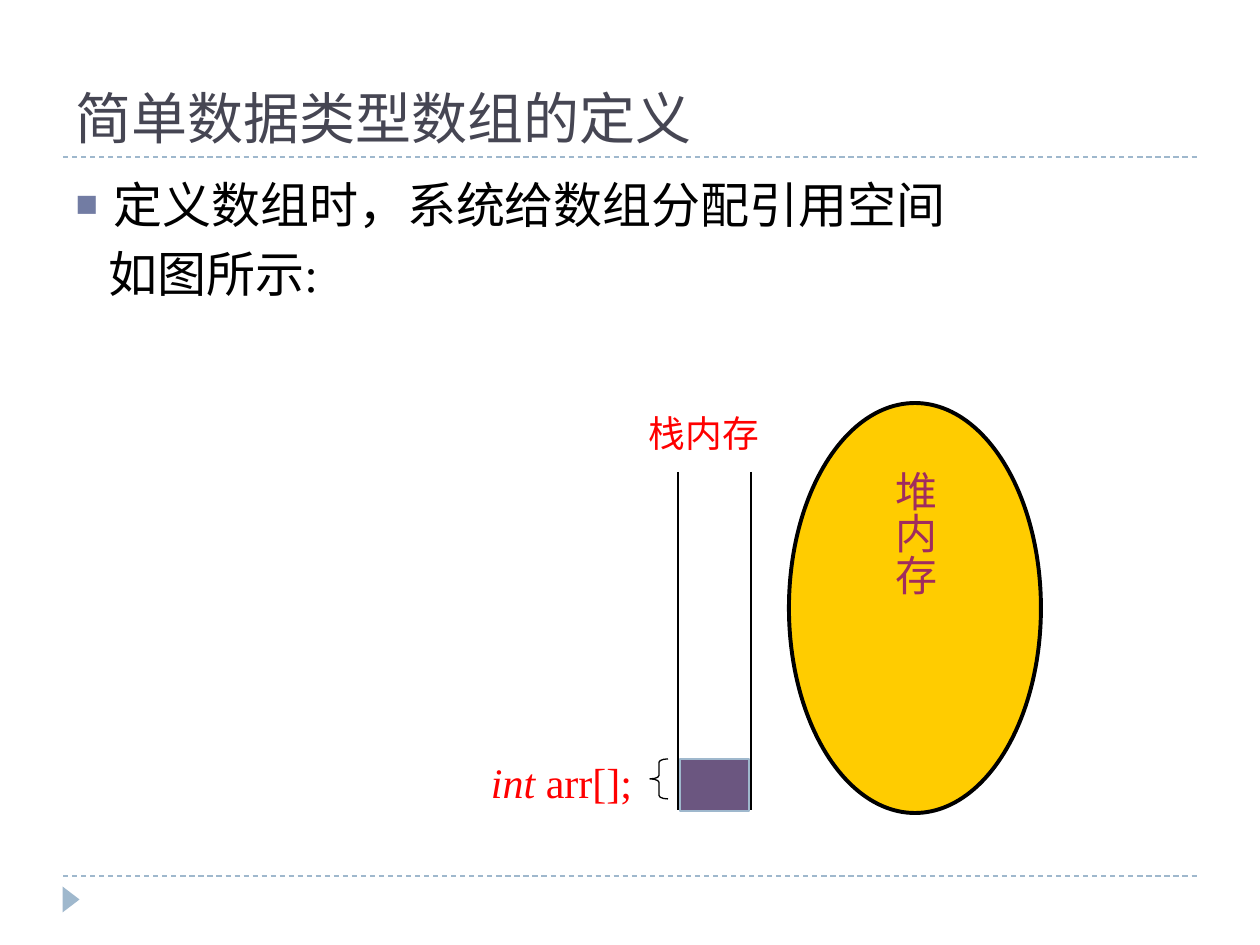
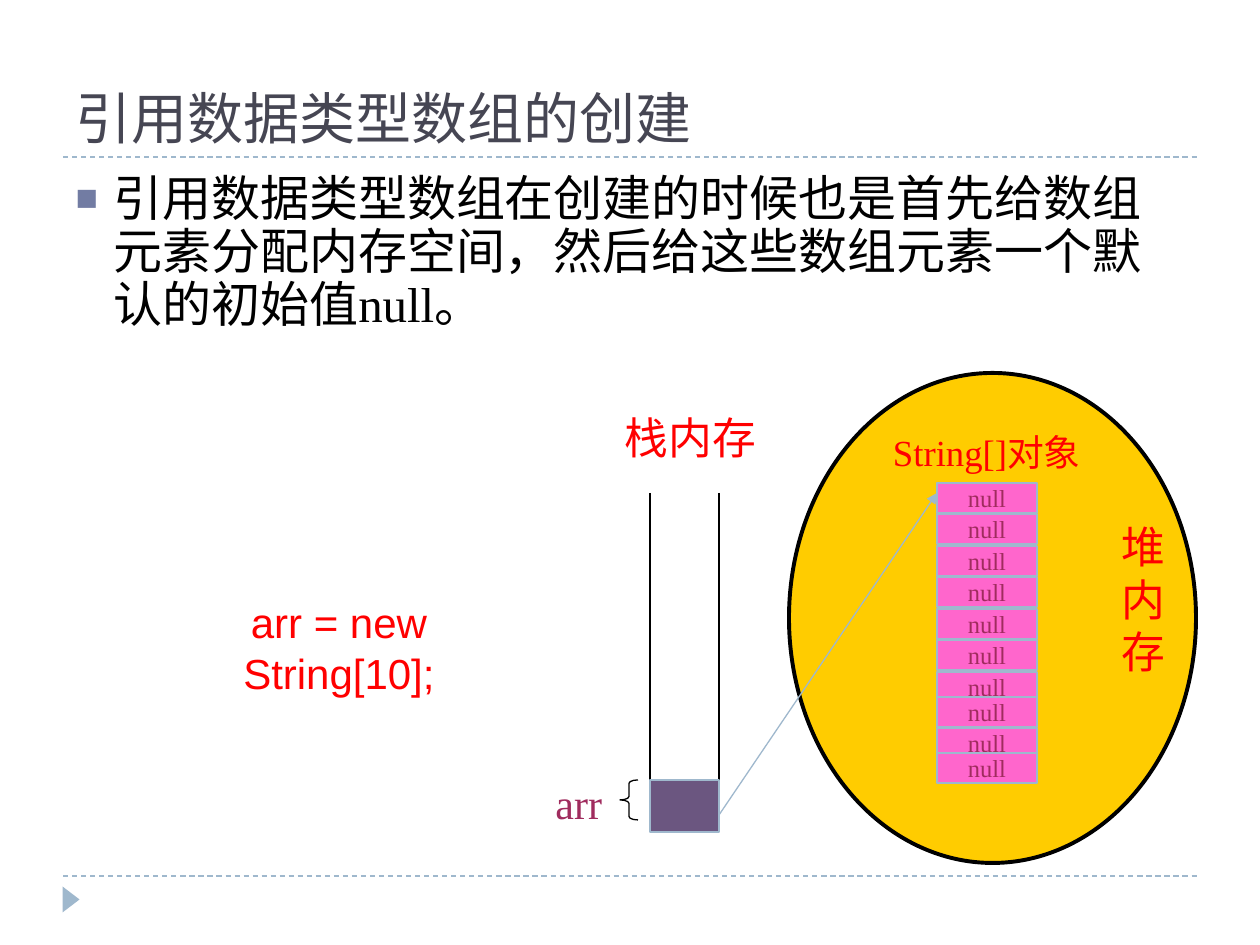
import pptx
import pptx.util
import pptx.dml.color
import pptx.enum.dml
import pptx.enum.shapes
import pptx.enum.text
import pptx.oxml.ns
from dataclasses import dataclass
from lxml import etree

SHAPE = pptx.enum.shapes.MSO_SHAPE
ALIGN = pptx.enum.text.PP_ALIGN
ANCHOR = pptx.enum.text.MSO_ANCHOR
PX_PER_INCH = 126


@dataclass(frozen=True)
class Theme:
    # colours
    title: str = "464653"
    bullet: str = "727CA3"
    accent: str = "9FB8CD"
    ink: str = "000000"
    red: str = "FF0000"
    plum: str = "A02C5E"
    slot: str = "6B5680"
    heap: str = "FFCC00"
    cell: str = "FF66CC"
    # type
    sans: str = "Arial"
    serif: str = "Times New Roman"
    title_size: int = 32
    body_size: int = 28
    code_size: int = 24
    cell_size: int = 14
    # line widths
    thin: float = 0.75
    rail: float = 1.5
    outline: float = 2.25


def px(n):
    return pptx.util.Emu(round(n * 914400 / PX_PER_INCH))


def rgb(value):
    return pptx.dml.color.RGBColor.from_string(value)


def add_xml(parent, tag, **attrs):
    return etree.SubElement(parent, pptx.oxml.ns.qn(tag), attrs)


class Deck:
    def __init__(self, theme):
        self.theme = theme
        self.prs = pptx.Presentation()
        self.prs.slide_width, self.prs.slide_height = px(1260), px(945)
        self.s = None

    # Slide frame: title, two dashed rules, corner marker
    def slide(self, title):
        t = self.theme
        self.s = self.prs.slides.add_slide(self.prs.slide_layouts[1])
        for y in (876, 157):
            self.line(63, y, 1197, y, t.accent, t.thin, dashed=True)
        marker = self.shape(SHAPE.ISOSCELES_TRIANGLE, (58, 891, 26, 17), t.accent)
        marker.rotation = 90
        tf = self.place(self.s.shapes.title, (63, 21, 1134, 136), ANCHOR.BOTTOM)
        p = tf.paragraphs[0]
        p.alignment = ALIGN.LEFT
        self.run(p, title, t.title_size, t.title, t.sans)

    def place(self, sp, box, anchor):
        sp.left, sp.top, sp.width, sp.height = map(px, box)
        tf = sp.text_frame
        tf.auto_size = pptx.enum.text.MSO_AUTO_SIZE.NONE
        tf.vertical_anchor = anchor
        return tf

    def run(self, p, text, size, color, font=None, italic=False):
        r = p.add_run()
        r.text = text
        r.font.size = pptx.util.Pt(size)
        r.font.name = font or self.theme.serif
        r.font.color.rgb = rgb(color)
        r.font.italic = italic

    # Body list: each item is (text, has bullet)
    def body(self, items, spacing=1.0):
        t = self.theme
        tf = self.place(self.s.placeholders[1], (63, 168, 1134, 677), ANCHOR.TOP)
        for i, (text, bulleted) in enumerate(items):
            p = tf.add_paragraph() if i else tf.paragraphs[0]
            p.alignment = ALIGN.LEFT
            p.line_spacing = spacing
            p.space_before = pptx.util.Pt(6)
            pPr = p._p.get_or_add_pPr()
            pPr.set("marL", str(px(38)))
            pPr.set("indent", str(px(-38 if bulleted else -5)))
            if bulleted:
                add_xml(add_xml(pPr, "a:buClr"), "a:srgbClr", val=t.bullet)
                add_xml(pPr, "a:buSzPct", val="76000")
                add_xml(pPr, "a:buFont", typeface=t.sans)
                add_xml(pPr, "a:buChar", char="■")
            else:
                add_xml(pPr, "a:buNone")
            self.run(p, text, t.body_size, t.ink)

    def shape(self, kind, box, fill=None, line=None, width=0.75):
        sp = self.s.shapes.add_shape(kind, *map(px, box))
        sp.shadow.inherit = False
        if fill:
            sp.fill.solid()
            sp.fill.fore_color.rgb = rgb(fill)
        else:
            sp.fill.background()
        if line:
            sp.line.color.rgb = rgb(line)
            sp.line.width = pptx.util.Pt(width)
        else:
            sp.line.fill.background()
        return sp

    def line(self, x1, y1, x2, y2, color, width, dashed=False, arrow=False):
        c = self.s.shapes.add_connector(
            pptx.enum.shapes.MSO_CONNECTOR.STRAIGHT, *map(px, (x1, y1, x2, y2)))
        c.line.color.rgb = rgb(color)
        c.line.width = pptx.util.Pt(width)
        if dashed:
            c.line.dash_style = pptx.enum.dml.MSO_LINE.DASH
        if arrow:
            add_xml(c.line._get_or_add_ln(), "a:tailEnd", type="triangle")
        add_xml(c._element.spPr, "a:effectLst")

    # Writes runs of (text, italic) into a shape's frame
    def fill_text(self, sp, runs, size, color, align, font=None, wrap=True,
                  inset=(15, 8), anchor=ANCHOR.TOP):
        tf = sp.text_frame
        tf.word_wrap = wrap
        tf.vertical_anchor = anchor
        tf.margin_left = tf.margin_right = px(inset[0])
        tf.margin_top = tf.margin_bottom = px(inset[1])
        p = tf.paragraphs[0]
        p.alignment = align
        for text, italic in runs:
            self.run(p, text, size, color, font, italic)

    def label(self, box, runs, size, color, align, **options):
        sp = self.s.shapes.add_textbox(*map(px, box))
        self.fill_text(sp, runs, size, color, align, **options)

    # Stack memory: brace, variable name, rails, floor and used slot
    def stack(self, left, right, top, name, name_color):
        t = self.theme
        slot_x, slot_y, bottom = (left + right - 69) // 2, top + 287, top + 338
        brace = self.shape(SHAPE.LEFT_BRACE, (slot_x - 30, slot_y, 18, 40),
                           line=t.ink, width=t.thin)
        brace.adjustments[0] = 0.19
        self.label((slot_x - 218, slot_y - 10, 185, 66), name, t.code_size,
                   name_color, ALIGN.RIGHT)
        for x in (right, left):
            self.line(x, top, x, bottom, t.ink, t.rail)
        self.line(left + 5, bottom + 1, right - 5, bottom + 1, t.ink, t.rail)
        self.shape(SHAPE.RECTANGLE, (slot_x, slot_y, 69, 52), t.slot, t.accent, t.thin)

    def heap(self, box):
        t = self.theme
        return self.shape(SHAPE.OVAL, box, t.heap, t.ink, t.outline)


def array_definition(deck):
    t = deck.theme
    deck.slide("简单数据类型数组的定义")
    deck.body([("定义数组时，系统给数组分配引用空间", True), ("如图所示:", False)])
    deck.label((630, 403, 144, 59), [("栈内存", False)], 21, t.red, ALIGN.RIGHT)
    deck.stack(678, 751, 472, [("int ", True), ("arr[];", False)], t.red)
    heap = deck.heap((789, 403, 252, 410))
    deck.fill_text(heap, [("堆内存", False)], t.code_size, t.plum, ALIGN.CENTER,
                   font=t.sans, wrap=False, anchor=ANCHOR.MIDDLE)
    heap.text_frame._txBody.bodyPr.set("vert", "eaVert")


def array_creation(deck):
    t = deck.theme
    deck.slide("引用数据类型数组的创建")
    deck.body([("引用数据类型数组在创建的时候也是首先给数组元素分配内存空间，"
                "然后给这些数组元素一个默认的初始值null。", True)], spacing=0.9)
    deck.label((591, 403, 199, 68), [("栈内存", False)], 25, t.red, ALIGN.CENTER)

    # Heap with the ten elements of the array
    deck.heap((789, 373, 407, 490))
    deck.label((878, 422, 242, 59), [("String[]对象", False)], 21, t.red, ALIGN.LEFT)
    cell_tops = [483 + 63 * i // 2 for i in range(7)] + [697, 728, 753]
    for top in cell_tops:
        cell = deck.shape(SHAPE.RECTANGLE, (937, top, 100, 30), t.cell, t.accent, t.thin)
        deck.fill_text(cell, [("null", False)], t.cell_size, t.plum, ALIGN.CENTER,
                       inset=(15, 0))
    deck.label((1096, 512, 84, 174), [("堆内存", False)], 25, t.red, ALIGN.RIGHT)

    # Statement, stack and reference to the array
    deck.label((137, 591, 404, 63), [("arr = new String[10];", False)], t.code_size,
               t.red, ALIGN.CENTER, font=t.sans, wrap=False, inset=(13, 6))
    deck.stack(650, 719, 493, [("arr", False)], t.plum)
    deck.line(719, 815, 937, 493, t.accent, t.thin, arrow=True)


def main():
    deck = Deck(Theme())
    array_definition(deck)
    array_creation(deck)
    deck.prs.save("out.pptx")


if __name__ == "__main__":
    main()
